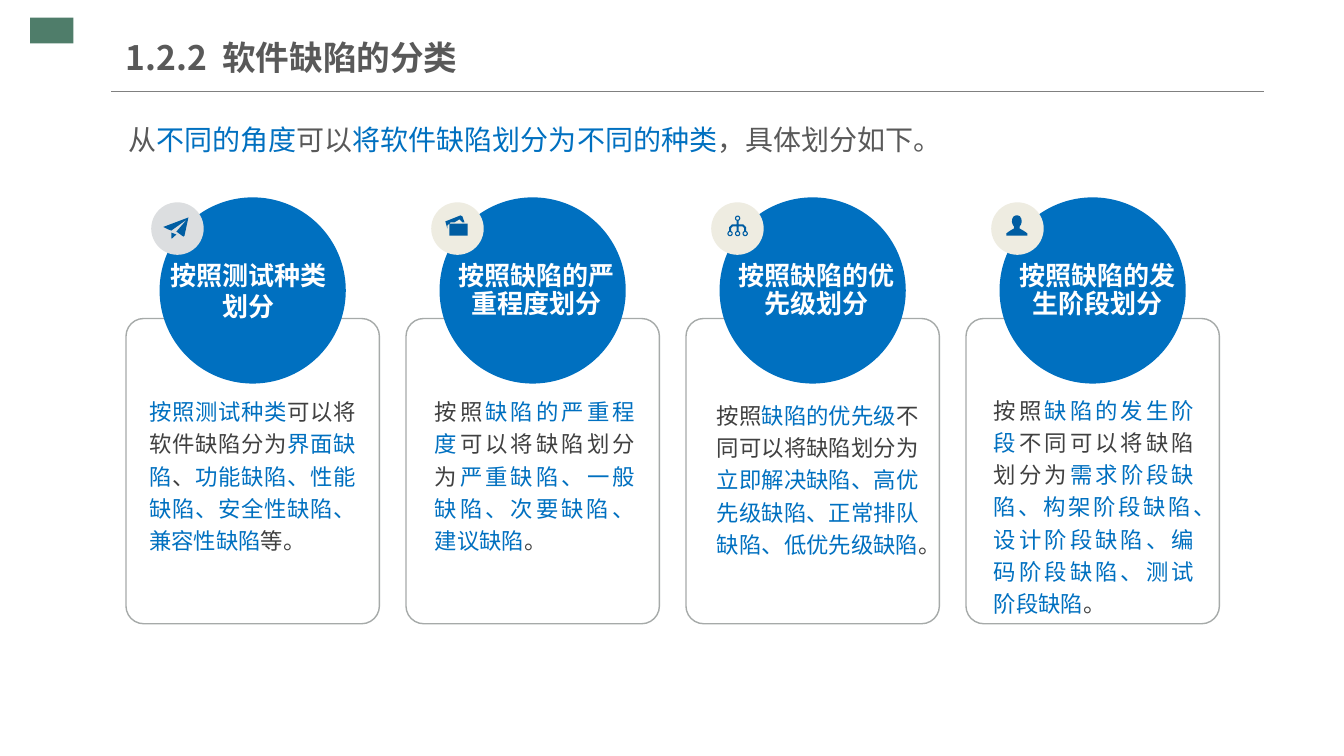
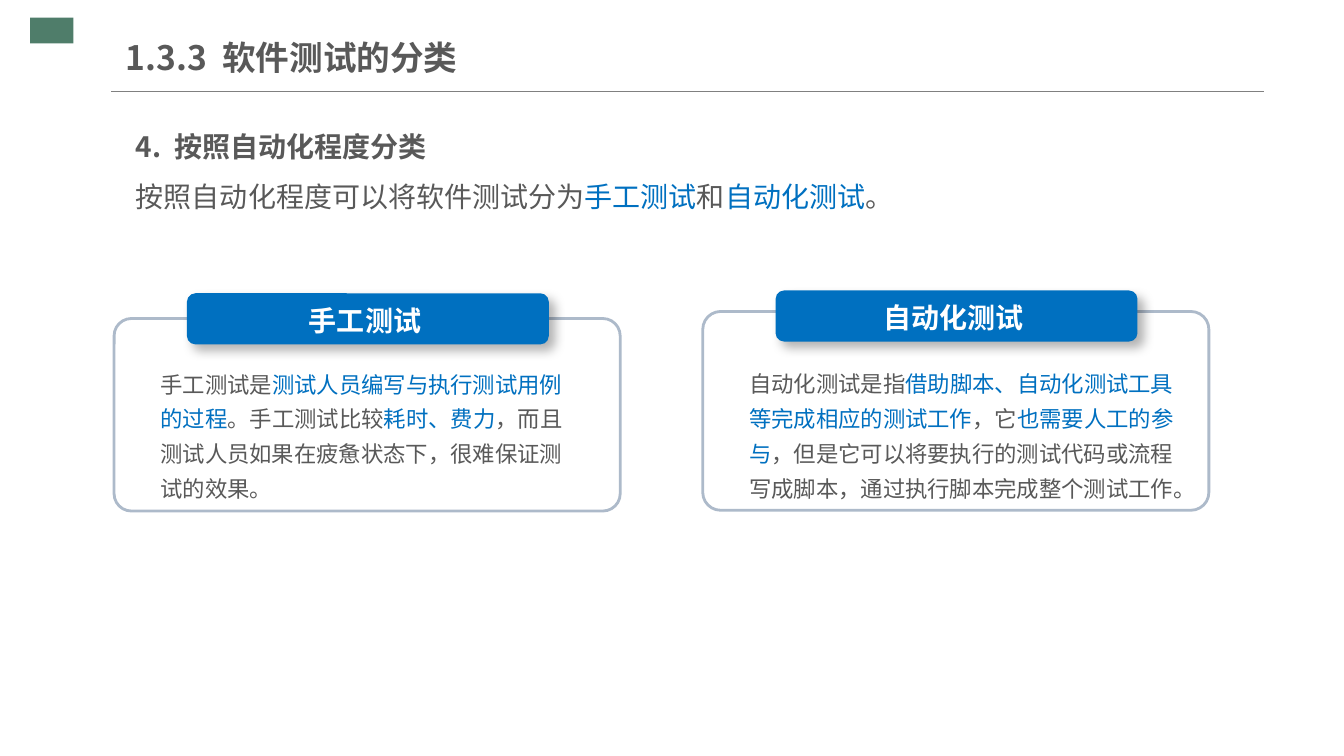
import math
import pptx
import pptx.util
import pptx.dml.color
import pptx.enum.shapes
import pptx.enum.text
import pptx.oxml
import pptx.oxml.ns
from lxml import etree

Pt = pptx.util.Pt
KIND = pptx.enum.shapes.MSO_SHAPE
ALIGN = pptx.enum.text.PP_ALIGN
MIDDLE = pptx.enum.text.MSO_ANCHOR.MIDDLE
FACE = "Noto Sans CJK SC"
HEX = {"green": "4F7D6A", "rule": "808080", "blue": "0070C0", "navy": "005DA2",
       "text": "595959", "dark": "404040", "white": "FFFFFF", "edge": "A6AAA9",
       "frame": "ADBACA", "silver": "DCDEE0", "cream": "EEECE1"}
FLUSH = {"margin_left": 0, "margin_right": 0, "margin_top": 0, "margin_bottom": 0}


def rgb(name):
    return pptx.dml.color.RGBColor.from_string(HEX[name])


def style(item, form):
    for key, value in form.items():
        setattr(item, key, value)


# Text
def add_run(par, text, color, form):
    run = par.add_run()
    run.text = text
    style(run.font, {"name": FACE, **form})
    run.font.color.rgb = rgb(color)
    props = run._r.get_or_add_rPr()
    etree.SubElement(props, pptx.oxml.ns.qn("a:ea")).set("typeface", FACE)
    return props


def write(par, text, color, form, layout):
    """Every second part between bars is blue."""
    style(par, layout)
    for i, part in enumerate(text.split("|")):
        if part:
            add_run(par, part, "blue" if i % 2 else color, form)


def heading(par, num, name, size, layout):
    style(par, layout)
    form = {"size": Pt(size), "bold": True}
    add_run(par, num, "text", form)
    add_run(par, " ", "text", form).set("spc", str(size * 22))
    add_run(par, name, "text", form)


def text_box(slide, box, form):
    frame = slide.shapes.add_textbox(*map(Pt, box)).text_frame
    style(frame, {"word_wrap": True, **form})
    return frame


# Shapes
def paint(shape, fill=None, line=None, width=1):
    shape.shadow.inherit = False
    if fill:
        shape.fill.solid()
        shape.fill.fore_color.rgb = rgb(fill)
    else:
        shape.fill.background()
    if line:
        shape.line.color.rgb = rgb(line)
        shape.line.width = Pt(width)
    else:
        shape.line.fill.background()
    return shape


def add(slide, kind, box, **look):
    return paint(slide.shapes.add_shape(kind, *map(Pt, box)), **look)


def cast(shape):
    props = shape.element.xpath("p:spPr")[0]
    for old in props.xpath("a:effectLst"):
        props.remove(old)
    props.append(pptx.oxml.parse_xml(
        f'<a:effectLst {pptx.oxml.ns.nsdecls("a")}>'
        f'<a:outerShdw blurRad="{Pt(8)}" dist="{Pt(6)}" dir="2700000" algn="tl" rotWithShape="0">'
        '<a:srgbClr val="000000"><a:alpha val="30000"/></a:srgbClr>'
        '</a:outerShdw></a:effectLst>'))


# Icons: closed loops in points, from the corner of the badge
def ring(x, y, r, steps=16):
    turn = 2 * math.pi / steps
    return [(x + r * math.cos(i * turn), y + r * math.sin(i * turn)) for i in range(steps)]


def mirror(half, axis):
    return half + [(2 * axis - x, y) for x, y in reversed(half)]


PLANE = [[(14.4, 21.6), (18, 23), (14.8, 25.9), (14.4, 25.6)],
         [(26.6, 10.8), (8.6, 17.6), (12.2, 19.4), (14.4, 20.2), (25.6, 12.2),
          (18, 20.9), (23, 24.5), (23.8, 23.8)]]
PHOTOS = [[(23.8, 14.4), (22.3, 10.1), (20.9, 9.4), (10.1, 13.7), (11.5, 18.7),
           (11.5, 16.6), (13.7, 14.4), (16.6, 14.4), (20.2, 12.2), (22.3, 14.4)],
          [(13, 15.3), (26, 15.3), (26, 23.8), (13, 23.8)]]
TREE = [mirror([(19.6, 13.2), (19.6, 15.8), (23, 15.8), (25, 17.8), (25, 20.5),
                (23.6, 20.5), (23.6, 18.4), (22.4, 17.2), (19.6, 17.2), (19.6, 20.5)], 18.9)]
TREE += [ring(x, y, r) for x, y in [(18.9, 11.4), (13.5, 22.3), (18.9, 22.3), (24.3, 22.3)]
         for r in (1.9, 1.1)]
PERSON = [mirror([(10.8, 23.8), (10.8, 22.2), (13.7, 20.2), (16.2, 18.8), (16.4, 17.6),
                  (15.3, 15.8), (14.8, 14), (15, 12), (16, 10.1), (17.6, 9.4)], 18.3)]


def icon(slide, x, y, loops):
    pen = None
    for loop in loops:
        first, *rest = [(round(a * 100), round(b * 100)) for a, b in loop]
        if pen is None:
            pen = slide.shapes.build_freeform(*first, scale=Pt(1) / 100)
        else:
            pen.move_to(*first)
        pen.add_line_segments(rest, close=True)
    paint(pen.convert_to_shape(Pt(x), Pt(y)), fill="navy")


# Shared band and rule, kept on the layout
def band(slide):
    block = add(slide, KIND.RECTANGLE, (21.5, 12.5, 31, 18.5), fill="green")
    rule = slide.shapes.add_connector(pptx.enum.shapes.MSO_CONNECTOR.STRAIGHT,
                                      Pt(79.5), Pt(65.5), Pt(903), Pt(65.5))
    rule.line.color.rgb = rgb("rule")
    rule.line.width = Pt(0.75)
    etree.SubElement(rule.element.xpath("p:spPr")[0], pptx.oxml.ns.qn("a:effectLst"))
    for i, part in enumerate((block, rule)):
        part.element.xpath(".//p:cNvPr")[0].set("id", str(100 + i))
        slide.slide_layout.shapes.element.append(part.element)


def new_slide(deck, num, name):
    slide = deck.slides.add_slide(deck.slide_layouts[5])
    title = slide.shapes.title
    style(title, {"left": Pt(90), "top": Pt(21), "width": Pt(307), "height": Pt(39.5)})
    frame = title.text_frame
    style(frame, {**FLUSH, "margin_top": Pt(5), "margin_bottom": Pt(5), "word_wrap": True,
                  "vertical_anchor": MIDDLE,
                  "auto_size": pptx.enum.text.MSO_AUTO_SIZE.NONE})
    heading(frame.paragraphs[0], num, name, 24, {"alignment": ALIGN.LEFT})
    return slide


# Card with a round head; places are offsets from its corner
def card(slide, x, y, data):
    box = add(slide, KIND.ROUNDED_RECTANGLE, (x, y, 181, 218), line="edge")
    box.adjustments[0] = 0.07
    add(slide, KIND.OVAL, (x + 24, y - 86.5, 133, 133), fill="blue")
    add(slide, KIND.OVAL, (x + 18, y - 83, 37.5, 37.5), fill=data["badge"])
    icon(slide, x + 18, y - 83, data["icon"])
    form = {**FLUSH, "vertical_anchor": MIDDLE}
    head = text_box(slide, (x + data["shift"], y - 42.5, 124.5, 45.5), form)
    write(head.paragraphs[0], data["head"], "white", {"size": Pt(18.6), "bold": True},
          {"alignment": ALIGN.CENTER, "line_spacing": data["lead"]})
    left, top, wide, high = data["body"]
    body = text_box(slide, (x + left, y + top, wide, high), form)
    write(body.paragraphs[0], data["text"], "dark", {"size": Pt(16)},
          {"alignment": ALIGN.JUSTIFY, "line_spacing": 1.2})


# Panel with a banner on its top edge
def panel(slide, x, y, high, lift, wide, name, text):
    box = add(slide, KIND.ROUNDED_RECTANGLE, (x, y, 361.5, high), line="frame", width=2)
    box.adjustments[0] = 0.09
    body = text_box(slide, (x + 26, y + high - 109.5, wide, 108), {})
    write(body.paragraphs[0], text, "text", {"size": Pt(16)}, {"line_spacing": 1.3})
    banner = add(slide, KIND.ROUNDED_RECTANGLE, (x + 52, y - lift, 258.5, 36.5), fill="blue")
    cast(banner)
    frame = banner.text_frame
    style(frame, {**FLUSH, "margin_right": Pt(4), "margin_top": Pt(2),
                  "vertical_anchor": MIDDLE})
    write(frame.paragraphs[0], name, "white", {"size": Pt(20), "bold": True},
          {"alignment": ALIGN.CENTER})


CARDS = [
    {"icon": PLANE, "badge": "silver", "shift": 25.5, "lead": 1.0,
     "head": "按照测试种类划分", "body": (16.5, 62.5, 147.5, 96.5),
     "text": "|按照测试种类|可以将软件缺陷分为|界面缺陷|、|"
             "功能缺陷、性能缺陷、安全性缺陷、兼容性缺陷|等。"},
    {"icon": PHOTOS, "badge": "cream", "shift": 31, "lead": 0.9,
     "head": "按照缺陷的严重程度划分", "body": (20.5, 59, 143, 103.5),
     "text": "按照|缺陷的严重程度|可以将缺陷划分为|严重缺陷、一般缺陷、次要缺陷、建议缺陷|。"},
    {"icon": TREE, "badge": "cream", "shift": 31, "lead": 0.9,
     "head": "按照缺陷的优先级划分", "body": (22, 63.5, 144.2, 100),
     "text": "按照|缺陷的优先级|不同可以将缺陷划分为|"
             "立即解决缺陷、高优先级缺陷、正常排队缺陷、低优先级缺陷|。"},
    {"icon": PERSON, "badge": "cream", "shift": 32, "lead": 0.9,
     "head": "按照缺陷的发生阶段划分", "body": (20, 88, 143, 89.5),
     "text": "按照|缺陷的发生阶段|不同可以将缺陷划分为|"
             "需求阶段缺陷、构架阶段缺陷、设计阶段缺陷、编码阶段缺陷、测试阶段缺陷|。"},
]
PANELS = [
    (81.5, 227.5, 137.5, 18, 309, "手工测试",
     "手工测试是|测试人员编写与执行测试用例的过程|。手工测试比较|耗时、费力|"
     "，而且测试人员如果在疲惫状态下，很难保证测试的效果。"),
    (502, 222.5, 142, 15, 320.5, "自动化测试",
     "自动化测试是指|借助脚本、自动化测试工具等完成相应的测试工作|，它|也需要人工的参与|"
     "，但是它可以将要执行的测试代码或流程写成脚本，通过执行脚本完成整个测试工作。"),
]


def defects(deck):
    slide = new_slide(deck, "1.2.2", "软件缺陷的分类")
    band(slide)
    intro = text_box(slide, (84.5, 72, 791, 49), {})
    write(intro.paragraphs[0], "从|不同的角度|可以|将软件缺陷划分为不同的种类|，具体划分如下。",
          "text", {"size": Pt(20)}, {"alignment": ALIGN.JUSTIFY, "line_spacing": 1.5})
    for i, data in enumerate(CARDS):
        card(slide, 90 + 200 * i, 227.5, data)


def tests(deck):
    slide = new_slide(deck, "1.3.3", "软件测试的分类")
    intro = text_box(slide, (90, 77, 792, 89), {})
    heading(intro.paragraphs[0], "4.", "按照自动化程度分类", 20, {"line_spacing": 1.5})
    write(intro.add_paragraph(), "按照自动化程度可以将软件测试分为|手工测试|和|自动化测试|。",
          "text", {"size": Pt(20)}, {"line_spacing": 1.5})
    for data in PANELS:
        panel(slide, *data)


def main():
    deck = pptx.Presentation()
    style(deck, {"slide_width": Pt(960), "slide_height": Pt(540)})
    defects(deck)
    tests(deck)
    deck.save("out.pptx")


if __name__ == "__main__":
    main()
